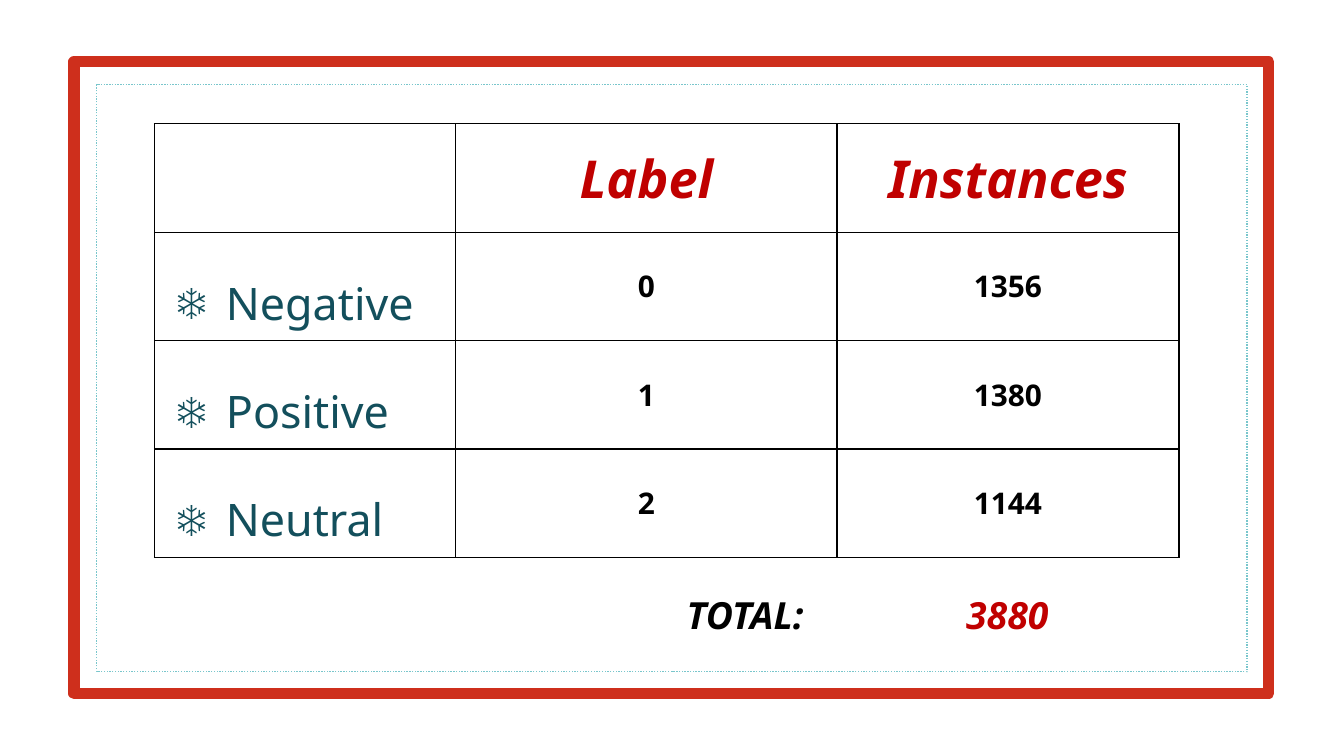
from lxml.etree import SubElement
from pptx import Presentation
from pptx.dml.color import RGBColor
from pptx.enum.dml import MSO_LINE
from pptx.enum.shapes import MSO_SHAPE
from pptx.enum.text import MSO_ANCHOR, PP_ALIGN
from pptx.oxml import parse_xml
from pptx.oxml.ns import nsdecls, qn
from pptx.util import Cm, Pt

COLORS = {"white": "FFFFFF", "frame": "CE2F1C", "dots": "79C6CC",
          "teal": "134F5C", "red": "C00000", "black": "000000"}
FONT = "Noto Sans"


def rgb(name):
    return RGBColor.from_string(COLORS[name])


def style(p, size, color, bold=False, italic=False, align=PP_ALIGN.LEFT):
    p.alignment = align
    f = p.font
    f.name, f.size, f.bold, f.italic = FONT, Pt(size), bold, italic
    f.color.rgb = rgb(color)


prs = Presentation()
prs.slide_width, prs.slide_height = Cm(25.4), Cm(14.29)
s = prs.slides.add_slide(prs.slide_layouts[6])

for x, y, w, h, color, width, dash in [
    (1.4, 1.17, 22.58, 11.94, "frame", 6, MSO_LINE.SOLID),
    (1.83, 1.6, 21.74, 11.1, "dots", 0.75, MSO_LINE.ROUND_DOT),
]:
    sp = s.shapes.add_shape(MSO_SHAPE.RECTANGLE, Cm(x), Cm(y), Cm(w), Cm(h))
    sp.shadow.inherit = False
    sp.fill.solid()
    sp.fill.fore_color.rgb = rgb("white")
    sp.line.color.rgb = rgb(color)
    sp.line.width = Pt(width)
    sp.line.dash_style = dash

sp = s.shapes.add_textbox(Cm(3.07), Cm(5.55), Cm(8.53), Cm(3.4))
tf = sp.text_frame
tf.word_wrap = True
tf.vertical_anchor = MSO_ANCHOR.MIDDLE
tf.margin_left = tf.margin_right = tf.margin_top = tf.margin_bottom = Cm(0.25)
tf.text = "Negative\nPositive\nNeutral"
for p in tf.paragraphs:
    style(p, 24, "teal")
    p.line_spacing = Pt(58)
    pPr = p._p.get_or_add_pPr()
    pPr.set("marL", str(Cm(0.95)))
    pPr.set("indent", str(-Cm(0.95)))
    bullet = [
        f'<a:buClr {nsdecls("a")}><a:srgbClr val="{COLORS["teal"]}"/></a:buClr>',
        f'<a:buFont {nsdecls("a")} typeface="{FONT}"/>',
        f'<a:buChar {nsdecls("a")} char="❄"/>',
    ]
    defRPr = pPr.find(qn("a:defRPr"))
    for xml in bullet:
        defRPr.addprevious(parse_xml(xml))

rows = [("", "Label", "Instances"), ("", "0", "1356"),
        ("", "1", "1380"), ("", "2", "1144")]
col_widths = [5.69, 7.21, 6.46]
row_height = 2.05
table = s.shapes.add_table(len(rows), len(col_widths), Cm(2.92), Cm(2.34),
                           Cm(sum(col_widths)), Cm(row_height * len(rows))).table
for col, width in zip(table.columns, col_widths):
    col.width = Cm(width)
for i, values in enumerate(rows):
    table.rows[i].height = Cm(row_height)
    for j, value in enumerate(values):
        cell = table.cell(i, j)
        cell.text = value
        cell.vertical_anchor = MSO_ANCHOR.MIDDLE
        size, color = (28, "red") if i == 0 else (16, "black")
        style(cell.text_frame.paragraphs[0], size, color, True, i == 0, PP_ALIGN.CENTER)
        tcPr = cell._tc.get_or_add_tcPr()
        for side in ("lnL", "lnR", "lnT", "lnB"):
            ln = SubElement(tcPr, qn(f"a:{side}"), w=str(Pt(0.75)))
            fill = SubElement(ln, qn("a:solidFill"))
            SubElement(fill, qn("a:srgbClr"), val=COLORS["black"])
        cell.fill.background()

for text, x, w, color, align, wrap in [
    ("TOTAL: ", 12.14, 3.48, "black", PP_ALIGN.RIGHT, True),
    ("3880", 18.01, 2.08, "red", PP_ALIGN.LEFT, False),
]:
    sp = s.shapes.add_textbox(Cm(x), Cm(11.07), Cm(w), Cm(1.12))
    tf = sp.text_frame
    tf.word_wrap = wrap
    tf.text = text
    style(tf.paragraphs[0], 20, color, True, True, align)

prs.save("out.pptx")
